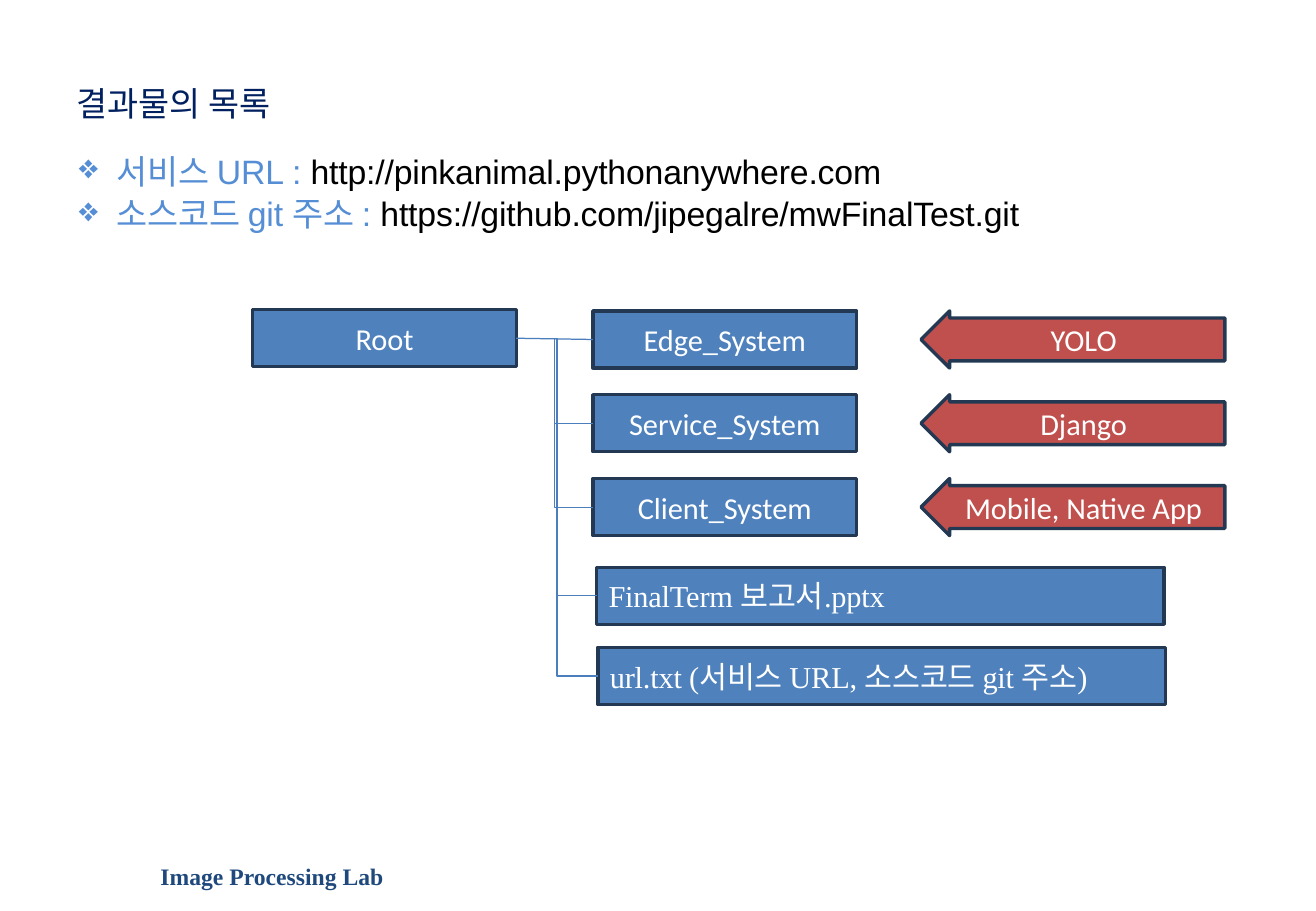
from lxml import etree
from pptx import Presentation
from pptx.dml.color import RGBColor
from pptx.enum.shapes import MSO_CONNECTOR, MSO_SHAPE
from pptx.enum.text import MSO_ANCHOR, MSO_AUTO_SIZE, PP_ALIGN
from pptx.oxml.ns import qn
from pptx.util import Inches, Pt

RECT, LEFT_ARROW = MSO_SHAPE.RECTANGLE, MSO_SHAPE.LEFT_ARROW
STRAIGHT, ELBOW = MSO_CONNECTOR.STRAIGHT, MSO_CONNECTOR.ELBOW
LEFT, CENTER = PP_ALIGN.LEFT, PP_ALIGN.CENTER
TOP, MIDDLE = MSO_ANCHOR.TOP, MSO_ANCHOR.MIDDLE
FIT = MSO_AUTO_SIZE.SHAPE_TO_FIT_TEXT
C = {"blue": "4F81BD", "red": "C0504D", "edge": "233953", "link": "4B7EBC",
     "title": "002060", "label": "558ED5", "footer": "1F497D",
     "black": "000000", "white": "FFFFFF"}


def write(p, text, font="Calibri", size=18, color="white", bold=False,
          align=LEFT, spacing=0):
    """Add a run to a paragraph; spacing is in hundredths of a point."""
    p.alignment = align
    r = p.add_run()
    r.text = text
    r.font.name, r.font.size, r.font.bold = font, Pt(size), bold
    r.font.color.rgb = RGBColor.from_string(C[color])
    if spacing:
        r._r.get_or_add_rPr().set("spc", str(spacing))


def add_box(kind, x, y, w, fill, text, **fmt):
    sp = s.shapes.add_shape(kind, Inches(x), Inches(y), Inches(w), Inches(0.47))
    sp.shadow.inherit = False
    sp.fill.solid()
    sp.fill.fore_color.rgb = RGBColor.from_string(C[fill])
    sp.line.color.rgb = RGBColor.from_string(C["edge"])
    sp.line.width = Pt(2)
    sp.text_frame.word_wrap = True
    sp.text_frame.vertical_anchor = MIDDLE
    write(sp.text_frame.paragraphs[0], text, **fmt)
    return sp


prs = Presentation()
prs.slide_width, prs.slide_height = Inches(10.83), Inches(7.5)
s = prs.slides.add_slide(prs.slide_layouts[5])

# Title, links and footer
title = s.shapes.title
title.left, title.top = Inches(0.63), Inches(0.67)
title.width, title.height = Inches(2.87), Inches(0.35)
links = s.shapes.add_textbox(Inches(0.63), Inches(1.23), Inches(8.84), Inches(0.7))
footer = s.shapes.add_textbox(Inches(1.32), Inches(7.09), Inches(1.87), Inches(0.26))
for sp in (title, links, footer):
    tf = sp.text_frame
    tf.word_wrap, tf.auto_size, tf.vertical_anchor = True, FIT, TOP
    tf.margin_left = tf.margin_right = tf.margin_bottom = 0
    tf.margin_top = Inches(0.01)

write(title.text_frame.paragraphs[0], "결과물의 목록",
      font="Times New Roman", size=20, color="title")
write(footer.text_frame.paragraphs[0], "Image Processing Lab",
      font="Times New Roman", size=14, color="footer", bold=True)

tf = links.text_frame
for i, (label, url) in enumerate([
        ("서비스 URL : ", "http://pinkanimal.pythonanywhere.com"),
        ("소스코드 git 주소 : ", "https://github.com/jipegalre/mwFinalTest.git")]):
    p = tf.add_paragraph() if i else tf.paragraphs[0]
    pPr = p._p.get_or_add_pPr()
    pPr.set("marL", str(Inches(0.33)))
    pPr.set("indent", str(Inches(-0.31)))
    clr = etree.SubElement(pPr, qn("a:buClr"))
    etree.SubElement(clr, qn("a:srgbClr"), val=C["label"])
    etree.SubElement(pPr, qn("a:buChar"), char="❖")
    if i:
        p.space_before = Pt(1.1)
    for text, color in ((label, "label"), (url, "black")):
        write(p, text, font="Arial", size=20, color=color, spacing=-10)

# Folder tree: root, system folders with their tools, and files
root = add_box(RECT, 2.08, 2.55, 2.17, "blue", "Root", align=CENTER)
children = []
for i, (folder, tool) in enumerate([("Edge_System", "YOLO"),
                                    ("Service_System", "Django"),
                                    ("Client_System", "Mobile, Native App")]):
    y = 2.56 + 0.69 * i
    children.append(add_box(RECT, 4.88, y, 2.17, "blue", folder, align=CENTER))
    arrow = add_box(LEFT_ARROW, 7.58, y, 2.5, "red", tool, align=CENTER)
    arrow.adjustments[0], arrow.adjustments[1] = 0.75, 0.5

for x, y, name in ((4.91, 4.67, "FinalTerm 보고서.pptx"),
                   (4.92, 5.33, "url.txt (서비스 URL, 소스코드 git 주소)")):
    children.append(add_box(RECT, x, y, 4.67, "blue", name,
                            font="Times New Roman", spacing=-10))

for i, child in enumerate(children):
    cn = s.shapes.add_connector(ELBOW if i else STRAIGHT, 0, 0, 0, 0)
    cn.begin_connect(root, 3)
    cn.end_connect(child, 1)
    cn.line.color.rgb = RGBColor.from_string(C["link"])
    cn.line.width = Pt(0.75)
    etree.SubElement(cn._element.spPr, qn("a:effectLst"))

prs.save("out.pptx")
